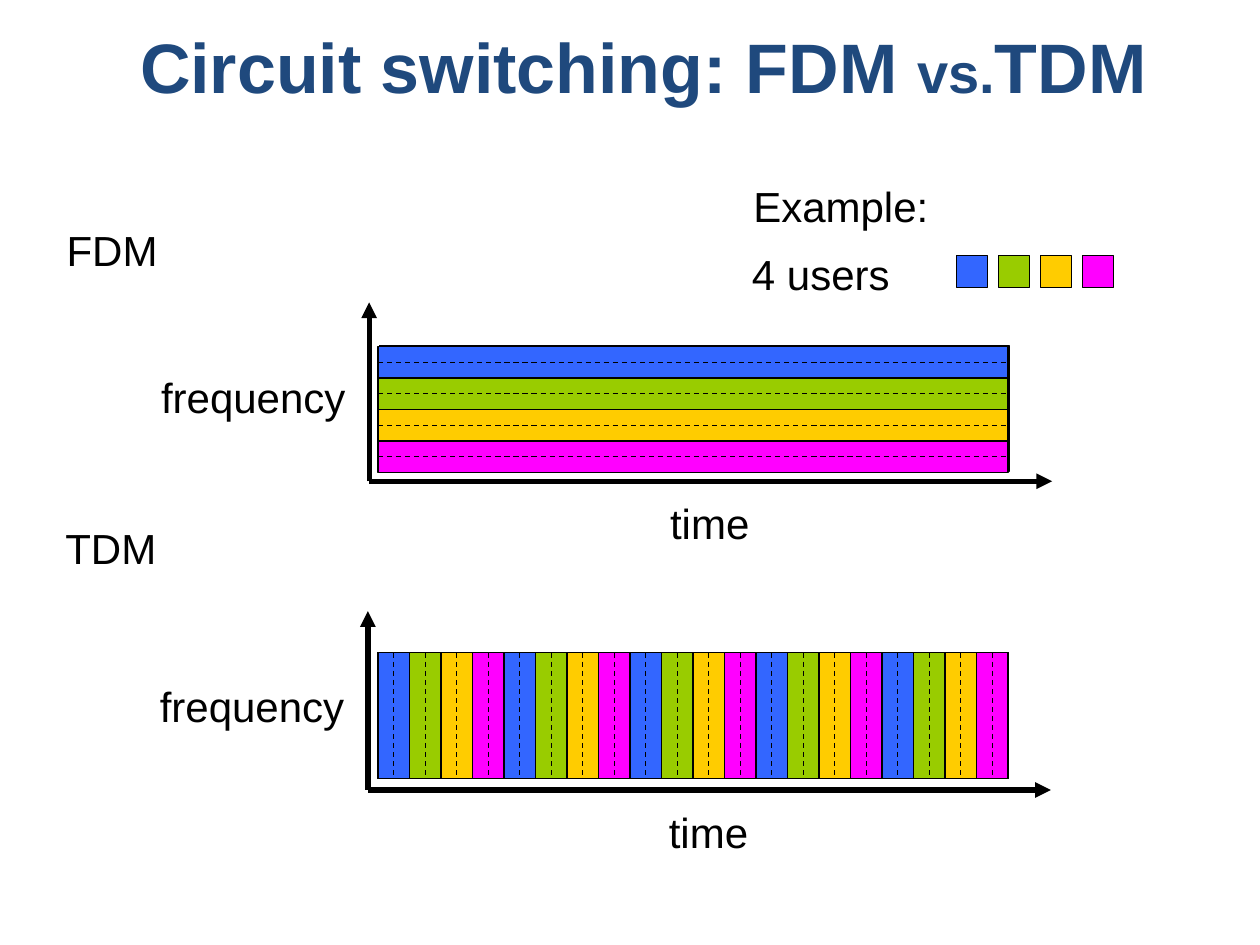
from dataclasses import dataclass

from lxml.etree import SubElement
from pptx import Presentation
from pptx.dml.color import RGBColor
from pptx.enum.dml import MSO_LINE
from pptx.enum.shapes import MSO_CONNECTOR, MSO_SHAPE
from pptx.enum.text import MSO_ANCHOR, MSO_AUTO_SIZE, PP_ALIGN
from pptx.oxml.ns import qn
from pptx.shapes.autoshape import Shape
from pptx.shapes.connector import Connector
from pptx.slide import Slide
from pptx.util import Inches, Pt

BLACK = RGBColor(0x00, 0x00, 0x00)
NAVY = RGBColor(0x1F, 0x49, 0x7D)
FRAME_BLUE = RGBColor(0x4F, 0x81, 0xBD)
USER_COLORS = [
    RGBColor(0x33, 0x66, 0xFF),
    RGBColor(0x99, 0xCC, 0x00),
    RGBColor(0xFF, 0xCC, 0x00),
    RGBColor(0xFF, 0x00, 0xFF),
]
FONT = "Arial"
BAND_LEFT = 3.0
BAND_SIZE = 0.25
PLOT_WIDTH, PLOT_HEIGHT = 5.0, 1.0
LABEL_HEIGHT = 0.5


@dataclass(frozen=True)
class Panel:
    """One multiplexing diagram; the origin is where its axes meet."""
    name: str
    name_left: float
    name_top: float
    origin_x: float
    origin_y: float
    frame_left: float
    frame_top: float
    band_top: float
    band_count: int
    split_by_time: bool


PANELS = [
    Panel("FDM", 0.43, 1.73, 2.93, 3.82, 3.01, 2.74, 2.75, 4, False),
    Panel("TDM", 0.42, 4.1, 2.92, 6.27, 3.0, 5.18, 5.18, 20, True),
]


def add_run(paragraph, text: str, size: int, color: RGBColor, bold: bool = False) -> None:
    run = paragraph.add_run()
    run.text = text
    run.font.name = FONT
    run.font.size = Pt(size)
    run.font.bold = bold
    run.font.color.rgb = color


def add_label(slide: Slide, text: str, left: float, top: float, width: float) -> None:
    box = slide.shapes.add_textbox(
        Inches(left), Inches(top), Inches(width), Inches(LABEL_HEIGHT))
    box.text_frame.word_wrap = False
    box.text_frame.auto_size = MSO_AUTO_SIZE.SHAPE_TO_FIT_TEXT
    add_run(box.text_frame.paragraphs[0], text, 24, BLACK)


def add_rectangle(slide: Slide, left: float, top: float, width: float,
                  height: float, color: RGBColor) -> Shape:
    shape = slide.shapes.add_shape(
        MSO_SHAPE.RECTANGLE, Inches(left), Inches(top), Inches(width), Inches(height))
    shape.shadow.inherit = False
    shape.fill.solid()
    shape.fill.fore_color.rgb = color
    shape.line.color.rgb = BLACK
    shape.line.width = Pt(0.75)
    return shape


def add_line(slide: Slide, start_x: float, start_y: float, end_x: float,
             end_y: float, width: float = 0.75) -> Connector:
    line = slide.shapes.add_connector(
        MSO_CONNECTOR.STRAIGHT, Inches(start_x), Inches(start_y),
        Inches(end_x), Inches(end_y))
    line.line.color.rgb = BLACK
    line.line.width = Pt(width)
    SubElement(line._element.spPr, qn("a:effectLst"))
    return line


def add_axis(slide: Slide, panel: Panel, length_x: float, length_y: float) -> None:
    axis = add_line(slide, panel.origin_x, panel.origin_y,
                    panel.origin_x + length_x, panel.origin_y - length_y, 3)
    SubElement(axis.line._get_or_add_ln(), qn("a:tailEnd"), type="triangle")


def add_title(slide: Slide) -> None:
    box = slide.shapes.add_textbox(Inches(0), Inches(0), Inches(10.21), Inches(1.04))
    frame = box.text_frame
    frame.word_wrap = True
    frame.vertical_anchor = MSO_ANCHOR.MIDDLE
    paragraph = frame.paragraphs[0]
    paragraph.alignment = PP_ALIGN.CENTER
    for text, size in [("Circuit switching: FDM ", 40), ("vs.", 32), ("TDM", 40)]:
        add_run(paragraph, text, size, NAVY, bold=True)


def add_bands(slide: Slide, panel: Panel) -> None:
    right = BAND_LEFT + PLOT_WIDTH
    bottom = panel.band_top + PLOT_HEIGHT

    # Coloured bands, cycling through the users
    bands = []
    for index in range(panel.band_count):
        offset = index * BAND_SIZE
        color = USER_COLORS[index % len(USER_COLORS)]
        if panel.split_by_time:
            band = add_rectangle(slide, BAND_LEFT + offset, panel.band_top,
                                 BAND_SIZE, PLOT_HEIGHT, color)
        else:
            band = add_rectangle(slide, BAND_LEFT, panel.band_top + offset,
                                 PLOT_WIDTH, BAND_SIZE, color)
        bands.append(band)

    # Solid separators between neighbouring bands
    for index in range(1, panel.band_count):
        offset = index * BAND_SIZE
        if panel.split_by_time:
            x = BAND_LEFT + offset
            add_line(slide, x, panel.band_top, x, bottom)
        else:
            y = panel.band_top + offset
            add_line(slide, BAND_LEFT, y, right, y)

    # Dashed centre line of each band
    begin_site, end_site = (0, 2) if panel.split_by_time else (1, 3)
    for band in bands:
        center_line = add_line(slide, BAND_LEFT, panel.band_top, right, bottom)
        center_line.begin_connect(band, begin_site)
        center_line.end_connect(band, end_site)
        center_line.line.dash_style = MSO_LINE.DASH


def add_panel(slide: Slide, panel: Panel) -> None:
    add_label(slide, panel.name, panel.name_left, panel.name_top, 0.92)
    add_axis(slide, panel, 0, 1.42)
    add_label(slide, "frequency", panel.origin_x - 1.75, panel.origin_y - 0.92, 1.67)
    add_axis(slide, panel, 5.42, 0)
    add_label(slide, "time", panel.origin_x + 2.29, panel.origin_y + 0.08, 0.83)
    add_rectangle(slide, panel.frame_left, panel.frame_top,
                  PLOT_WIDTH, PLOT_HEIGHT, FRAME_BLUE)
    add_bands(slide, panel)


def add_legend(slide: Slide) -> None:
    add_label(slide, "Example:", 5.88, 1.38, 1.59)
    add_label(slide, "4 users", 5.87, 1.92, 1.3)
    for index, color in enumerate(USER_COLORS):
        add_rectangle(slide, 7.59 + index / 3, 2.03, BAND_SIZE, BAND_SIZE, color)


def main() -> None:
    presentation = Presentation()
    presentation.slide_width = Inches(10)
    presentation.slide_height = Inches(7.5)
    slide = presentation.slides.add_slide(presentation.slide_layouts[6])

    add_title(slide)
    for panel in PANELS:
        add_panel(slide, panel)
    add_legend(slide)

    presentation.save("out.pptx")


if __name__ == "__main__":
    main()
